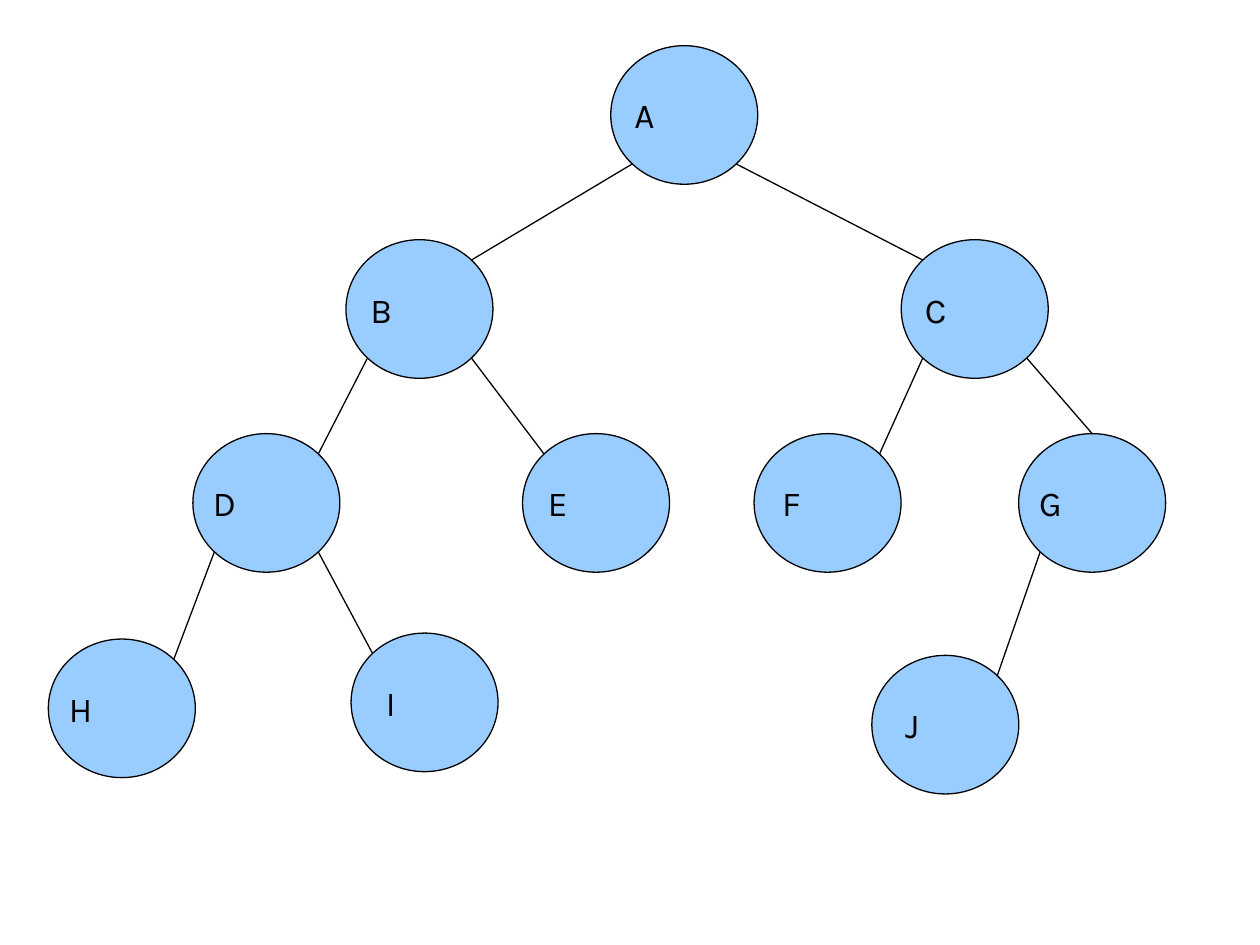
"""Draw a binary tree of ten lettered nodes on one slide."""
from math import sqrt

from lxml import etree
from pptx import Presentation
from pptx.dml.color import RGBColor
from pptx.enum.shapes import MSO_CONNECTOR, MSO_SHAPE
from pptx.enum.text import MSO_ANCHOR, PP_ALIGN
from pptx.oxml.ns import qn
from pptx.util import Pt

OVAL = MSO_SHAPE.OVAL
STRAIGHT = MSO_CONNECTOR.STRAIGHT
MIDDLE = MSO_ANCHOR.MIDDLE
LEFT = PP_ALIGN.LEFT

BLUE = RGBColor(0x99, 0xCC, 0xFF)
BLACK = RGBColor(0, 0, 0)

NODE_W, NODE_H = 84, 79.2
LABEL_H = 82
DX, DY = NODE_W / 2 / sqrt(2), NODE_H / 2 / sqrt(2)
ROW_1, ROW_2, ROW_3 = 65.7, 176.6, 287.4

# name: centre x, centre y, label width
NODES = {
    "A": (391, ROW_1, 57),
    "B": (239.7, ROW_2, 56),
    "C": (557, ROW_2, 57),
    "D": (152.2, ROW_3, 61),
    "E": (340.6, ROW_3, 55),
    "H": (69.6, 404.8, 60.5),
    "I": (242.6, 401.4, 44),
    "F": (472.9, ROW_3, 52),
    "G": (624.1, ROW_3, 60.5),
    "J": (540.2, 414.1, 46),
}
EDGES = ["AB", "BD", "BE", "DH", "DI", "AC", "CF", "CG", "GJ"]
TOP_ENTRY = {"CG"}


def write(tf, text, font="Karla", size=20, color=BLACK, align=LEFT):
    p = tf.paragraphs[0]
    p.alignment = align
    r = p.add_run()
    r.text = text
    r.font.name = font
    r.font.size = Pt(size)
    r.font.color.rgb = color


class Tree:
    def __init__(self, s, fill=BLUE, line=BLACK, weight=0.75):
        self.s = s
        self.fill = fill
        self.line = line
        self.weight = weight

    def outline(self, sp):
        sp.line.color.rgb = self.line
        sp.line.width = Pt(self.weight)

    def node(self, cx, cy):
        sp = self.s.shapes.add_shape(OVAL, Pt(cx - NODE_W / 2), Pt(cy - NODE_H / 2),
                                     Pt(NODE_W), Pt(NODE_H))
        sp.shadow.inherit = False
        sp.fill.solid()
        sp.fill.fore_color.rgb = self.fill
        self.outline(sp)

    def label(self, text, cx, cy, width):
        sp = self.s.shapes.add_textbox(Pt(cx - width / 2), Pt(cy - LABEL_H / 2),
                                       Pt(width), Pt(LABEL_H))
        tf = sp.text_frame
        tf.word_wrap = True
        tf.vertical_anchor = MIDDLE
        tf.margin_left = tf.margin_top = tf.margin_right = tf.margin_bottom = 0
        write(tf, text)

    def edge(self, parent, child, top_entry=False):
        (px, py, _), (cx, cy, _) = NODES[parent], NODES[child]
        side = 1 if cx > px else -1
        x, y = (cx, cy - NODE_H / 2) if top_entry else (cx - side * DX, cy - DY)
        sp = self.s.shapes.add_connector(STRAIGHT, Pt(px + side * DX), Pt(py + DY),
                                         Pt(x), Pt(y))
        self.outline(sp)
        etree.SubElement(sp._element.spPr, qn("a:effectLst"))


def main():
    prs = Presentation()
    prs.slide_width, prs.slide_height = Pt(720), Pt(540)
    tree = Tree(prs.slides.add_slide(prs.slide_layouts[6]))
    for name, (cx, cy, width) in NODES.items():
        tree.node(cx, cy)
        tree.label(name, cx, cy, width)
    for edge in EDGES:
        tree.edge(*edge, top_entry=edge in TOP_ENTRY)
    prs.save("out.pptx")


if __name__ == "__main__":
    main()
